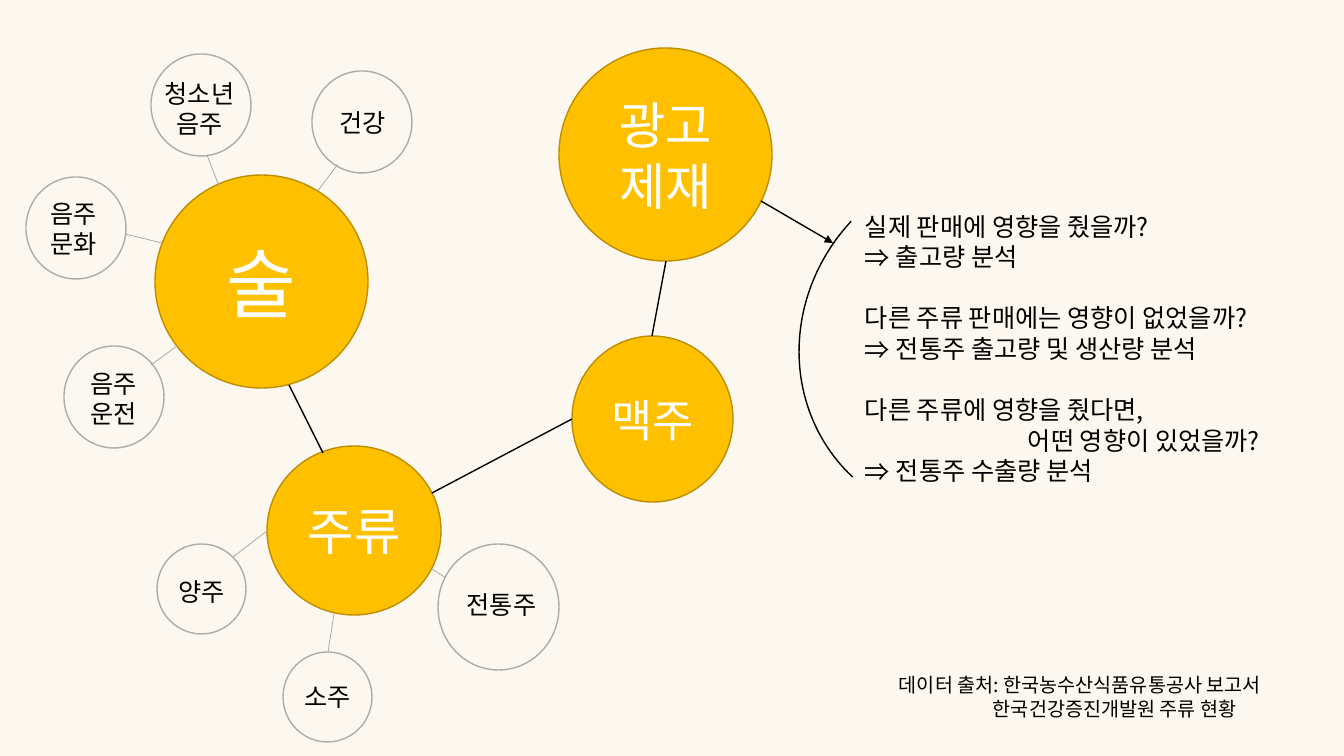
"""Build a mind map slide that leads from alcohol to the effect of advertising sanctions."""
from lxml.etree import SubElement
from pptx import Presentation
from pptx.dml.color import RGBColor
from pptx.enum.shapes import MSO_CONNECTOR, MSO_SHAPE
from pptx.enum.text import MSO_ANCHOR, PP_ALIGN
from pptx.oxml.ns import qn
from pptx.util import Emu, Pt

FONT = "Noto Sans CJK KR"
LINE_HEIGHT = 1.21
COLORS = {
    "page": "FCF7EF",
    "topic": "FFC000",
    "topic_edge": "BD8E00",
    "branch_edge": "AFABAB",
    "branch_line": "A5A5A5",
    "white": "FFFFFF",
    "black": "000000",
}

TOPICS = [
    ((155, 175, 213, 213), ["술"], 54),
    ((267, 446, 174, 169), ["주류"], 36),
    ((572, 336, 161, 166), ["맥주"], 32),
    ((559, 48, 213, 213), ["광고", "제재"], 36),
]
TOPIC_LINES = [
    (289, 385, 323, 453),
    (666, 261, 652, 336),
    (572, 419, 432, 493),
]
BRANCHES = [
    ((151, 54, 100, 102), (151, 73, 97, 72), ["청소년", "음주"]),
    ((26, 177, 100, 102), (38, 193, 72, 72), ["음주", "문화"]),
    ((283, 652, 89, 90), (292, 676, 72, 40), ["소주"]),
    ((157, 544, 89, 90), (166, 571, 72, 40), ["양주"]),
    ((312, 71, 100, 102), (327, 102, 72, 40), ["건강"]),
    ((64, 346, 100, 102), (78, 363, 72, 72), ["음주", "운전"]),
    ((438, 544, 121, 126), (453, 584, 97, 40), ["전통주"]),
]
BRANCH_LINES = [
    (207, 155, 219, 186),
    (334, 614, 328, 652),
    (233, 557, 267, 531),
    (317, 192, 338, 164),
    (125, 234, 162, 243),
    (151, 365, 177, 346),
    (432, 569, 446, 578),
]
QUESTIONS = [
    (["실제 판매에 영향을 줬을까?"], "출고량 분석"),
    (["다른 주류 판매에는 영향이 없었을까?"], "전통주 출고량 및 생산량 분석"),
    (["다른 주류에 영향을 줬다면,", "어떤 영향이 있었을까?"], "전통주 수출량 분석"),
]
SOURCES = ["데이터 출처: 한국농수산식품유통공사 보고서", "한국건강증진개발원 주류 현황"]


def px(value):
    return Emu(round(value * 914400 / 100.8))


def color(name):
    return RGBColor.from_string(COLORS[name])


def add_line_of_text(frame, text, size, ink="black", align=PP_ALIGN.LEFT, indent=0, bullet=None):
    first = frame.paragraphs[0]
    para = frame.add_paragraph() if first.runs else first
    para.alignment = align
    para.line_spacing = Pt(round(size * LINE_HEIGHT, 1))
    if indent:
        properties = para._p.get_or_add_pPr()
        properties.set("marL", str(px(indent)))
        properties.set("indent", str(-px(indent) if bullet else 0))
        if bullet:
            SubElement(properties, qn("a:buFont"), typeface=FONT)
            SubElement(properties, qn("a:buChar"), char=bullet)
    span = para.add_run()
    span.text = text
    span.font.size = Pt(size)
    span.font.name = FONT
    span.font.color.rgb = color(ink)
    SubElement(span.font._element, qn("a:ea"), typeface=FONT)
    return para


def add_text_box(page, area):
    box = page.shapes.add_textbox(*map(px, area))
    box.text_frame.word_wrap = True
    return box.text_frame


def add_outline(page, kind, area, edge, fill=None):
    shape = page.shapes.add_shape(kind, *map(px, area))
    shape.shadow.inherit = False
    if fill:
        shape.fill.solid()
        shape.fill.fore_color.rgb = color(fill)
    else:
        shape.fill.background()
    shape.line.color.rgb = color(edge)
    shape.line.width = Pt(1)
    return shape


def add_topic(page, area, lines, size):
    circle = add_outline(page, MSO_SHAPE.FLOWCHART_CONNECTOR, area, "topic_edge", "topic")
    frame = circle.text_frame
    frame.vertical_anchor = MSO_ANCHOR.MIDDLE
    for text in lines:
        add_line_of_text(frame, text, size, "white", PP_ALIGN.CENTER)


def add_branch(page, area, label_area, lines):
    add_outline(page, MSO_SHAPE.FLOWCHART_CONNECTOR, area, "branch_edge")
    frame = add_text_box(page, label_area)
    for text in lines:
        add_line_of_text(frame, text, 18, align=PP_ALIGN.CENTER)


def add_link(page, ends, ink="black", width=1, arrow=False):
    link = page.shapes.add_connector(MSO_CONNECTOR.STRAIGHT, *map(px, ends))
    link.line.color.rgb = color(ink)
    link.line.width = Pt(width)
    properties = link._element.spPr
    if arrow:
        SubElement(properties.find(qn("a:ln")), qn("a:tailEnd"), type="triangle")
    SubElement(properties, qn("a:effectLst"))


def add_questions(page):
    frame = add_text_box(page, (855, 206, 489, 285))
    for number, (question, answer) in enumerate(QUESTIONS):
        para = add_line_of_text(frame, question[0], 18)
        if number:
            para.space_before = Pt(21.8)
        for text in question[1:]:
            add_line_of_text(frame, text, 18, indent=163)
        add_line_of_text(frame, answer, 18, indent=31, bullet="⇒")


def add_sources(page):
    frame = add_text_box(page, (889, 668, 421, 57))
    for text, indent in zip(SOURCES, (0, 94)):
        add_line_of_text(frame, text, 14, indent=indent)


def main():
    deck = Presentation()
    deck.slide_width, deck.slide_height = px(1344), px(756)
    page = deck.slides.add_slide(deck.slide_layouts[6])
    page.background.fill.solid()
    page.background.fill.fore_color.rgb = color("page")
    for topic in TOPICS:
        add_topic(page, *topic)
    for ends in TOPIC_LINES:
        add_link(page, ends)
    for branch in BRANCHES:
        add_branch(page, *branch)
    for ends in BRANCH_LINES:
        add_link(page, ends, "branch_line", 0.5)
    add_questions(page)
    arc = add_outline(page, MSO_SHAPE.ARC, (804, 155, 351, 372), "black")
    arc.rotation = 223
    add_link(page, (761, 201, 833, 243), arrow=True)
    add_sources(page)
    deck.save("out.pptx")


if __name__ == "__main__":
    main()
